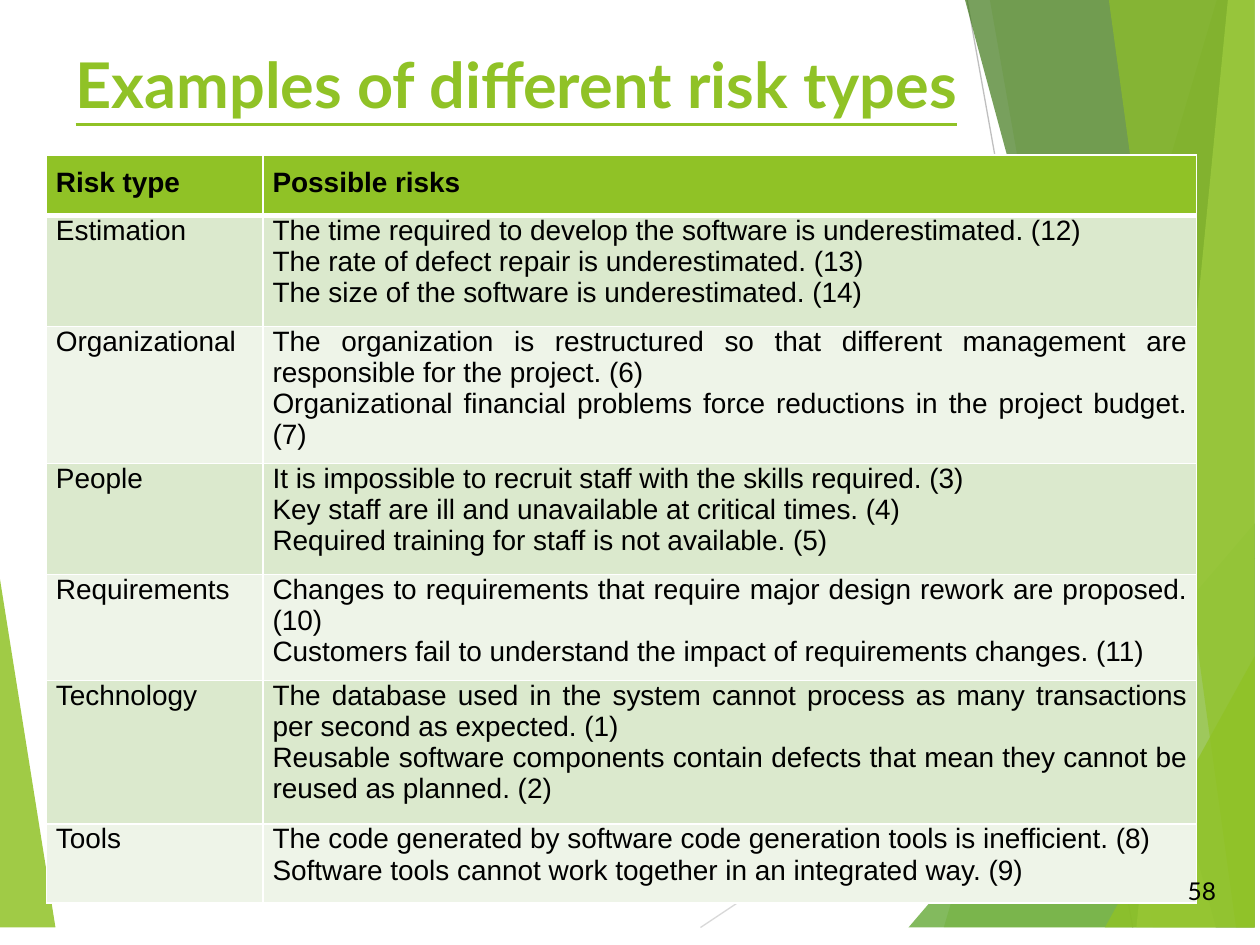
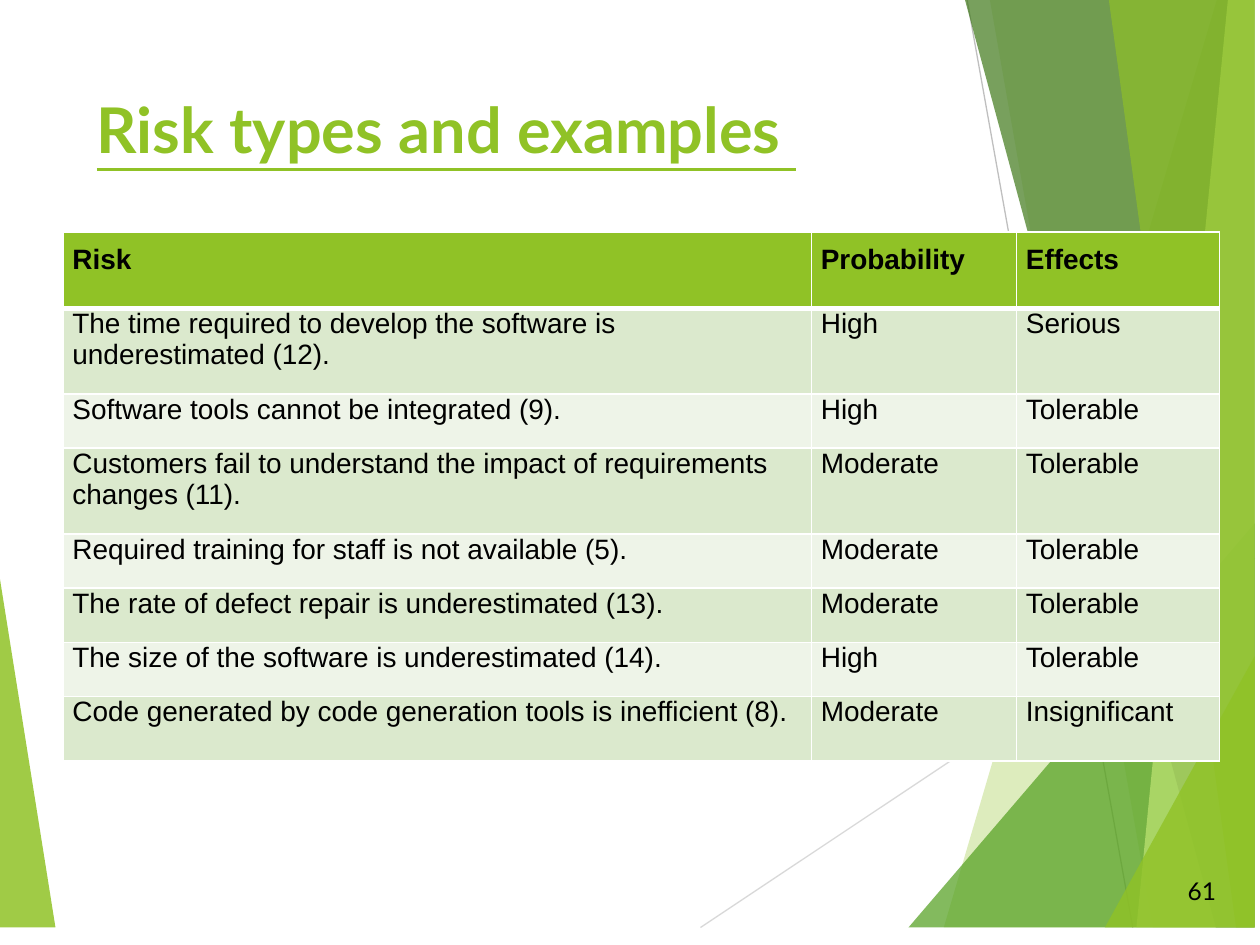
"""Build two slides about software risk types, with their shared backdrop on the layout."""
from dataclasses import dataclass

from lxml.etree import SubElement
from pptx import Presentation
from pptx.dml.color import RGBColor
from pptx.enum.shapes import MSO_CONNECTOR
from pptx.enum.text import MSO_ANCHOR, MSO_AUTO_SIZE, PP_ALIGN
from pptx.oxml.ns import qn
from pptx.util import Pt

GREEN = RGBColor(0x90, 0xC2, 0x26)
MID_GREEN = RGBColor(0x54, 0xA0, 0x21)
DARK_GREEN = RGBColor(0x3F, 0x78, 0x19)
LIME = RGBColor(0xC0, 0xE4, 0x74)
BAND_DARK = RGBColor(0xDB, 0xE9, 0xCD)
BAND_LIGHT = RGBColor(0xEE, 0xF4, 0xE8)
GREY = RGBColor(0xBF, 0xBF, 0xBF)
PALE_GREY = RGBColor(0xD9, 0xD9, 0xD9)
BLACK = RGBColor(0, 0, 0)
WHITE = RGBColor(0xFF, 0xFF, 0xFF)

HEAD_FONT = "Lato"
BODY_FONT = "Arial"
TOP, FLOOR, RIGHT = -10.5, 530, 717


@dataclass
class Facet:
    """A sloping side from (top_x, top_y) to foot_x on the floor, closed along edge_x."""
    color: RGBColor
    opacity: int
    top_x: float
    foot_x: float
    top_y: float = TOP
    edge_x: float = RIGHT


@dataclass
class Ray:
    """A thin line across the backdrop."""
    color: RGBColor
    x1: float
    y1: float
    x2: float
    y2: float


@dataclass
class RiskSlide:
    """A title, a table whose first row is the header, and a page number."""
    title: str
    title_box: tuple[float, float, float, float]
    origin: tuple[float, float]
    cols: list[float]
    heights: list[float]
    rows: list[tuple[str, ...]]
    align: PP_ALIGN
    number: int


RAYS = [
    Ray(PALE_GREY, 400.3, FLOOR, RIGHT, 319),
    Ray(GREY, 550.8, TOP, 647.3, FLOOR),
]

FACETS = [
    Facet(GREEN, 85, -4, 31.7, 306, -4),
    Facet(GREEN, 30, 698.4, 539.3),
    Facet(GREEN, 20, 563.8, 658.8),
    Facet(MID_GREEN, 72, RIGHT, 519.1, 299),
    Facet(DARK_GREEN, 70, 548.6, 694.8),
    Facet(LIME, 70, 702.7, 649.4),
    Facet(GREEN, 65, 632.2, 706.3),
    Facet(GREEN, 80, RIGHT, 631.4, 375),
]

RISK_SLIDES = [
    RiskSlide(
        "Examples of different risk types", (36, 22.3, 605.5, 66.2), (26.6, 88.6),
        [123.8, 533.5], [34.5, 63.4, 63.4, 63.4, 45.4, 82, 45.4],
        [
            ("Risk type", "Possible risks"),
            ("Estimation",
             "The time required to develop the software is underestimated. (12)\n"
             "The rate of defect repair is underestimated. (13)\n"
             "The size of the software is underestimated. (14)"),
            ("Organizational",
             "The organization is restructured so that different management are "
             "responsible for the project. (6)\n"
             "Organizational financial problems force reductions in the project budget. (7)"),
            ("People",
             "It is impossible to recruit staff with the skills required. (3)\n"
             "Key staff are ill and unavailable at critical times. (4)\n"
             "Required training for staff is not available. (5)"),
            ("Requirements",
             "Changes to requirements that require major design rework are proposed. (10)\n"
             "Customers fail to understand the impact of requirements changes. (11)"),
            ("Technology",
             "The database used in the system cannot process as many transactions "
             "per second as expected. (1)\n"
             "Reusable software components contain defects that mean they cannot be "
             "reused as planned. (2)"),
            ("Tools",
             "The code generated by software code generation tools is inefficient. (8)\n"
             "Software tools cannot work together in an integrated way. (9)"),
        ],
        PP_ALIGN.JUSTIFY, 58),
    RiskSlide(
        "Risk types and examples ", (48.2, 48.2, 605.5, 103.7), (36, 132.5),
        [427.7, 117.2, 116], [43.7, 49, 31, 49, 31, 31, 31, 36.7],
        [
            ("Risk", "Probability", "Effects"),
            ("The time required to develop the software is underestimated (12).",
             "High", "Serious"),
            ("Software tools cannot be integrated (9).", "High", "Tolerable"),
            ("Customers fail to understand the impact of requirements changes (11).",
             "Moderate", "Tolerable"),
            ("Required training for staff is not available (5).", "Moderate", "Tolerable"),
            ("The rate of defect repair is underestimated (13).", "Moderate", "Tolerable"),
            ("The size of the software is underestimated (14).", "High", "Tolerable"),
            ("Code generated by code generation tools is inefficient (8).",
             "Moderate", "Insignificant"),
        ],
        PP_ALIGN.LEFT, 61),
]


def add_ray(slide, ray: Ray):
    ln = slide.shapes.add_connector(
        MSO_CONNECTOR.STRAIGHT, Pt(ray.x1), Pt(ray.y1), Pt(ray.x2), Pt(ray.y2))
    ln.line.color.rgb = ray.color
    ln.line.width = Pt(0.75)
    SubElement(ln.element.spPr, qn("a:effectLst"))
    return ln


def add_facet(slide, facet: Facet):
    fb = slide.shapes.build_freeform(Pt(facet.top_x), Pt(facet.top_y))
    fb.add_line_segments([
        (Pt(facet.foot_x), Pt(FLOOR)),
        (Pt(facet.edge_x), Pt(FLOOR)),
        (Pt(facet.edge_x), Pt(facet.top_y)),
    ])
    sp = fb.convert_to_shape()
    sp.shadow.inherit = False
    sp.line.fill.background()
    sp.fill.solid()
    sp.fill.fore_color.rgb = facet.color
    color = sp.element.spPr.find(f"{qn('a:solidFill')}/{qn('a:srgbClr')}")
    SubElement(color, qn("a:alpha"), val=str(facet.opacity * 1000))
    return sp


def move_backdrop_to_layout(slide, layout) -> None:
    parts = [add_ray(slide, ray) for ray in RAYS]
    parts += [add_facet(slide, facet) for facet in FACETS]
    for i, part in enumerate(parts):
        part.element.xpath(".//p:cNvPr")[0].set("id", str(100 + i))
        layout.shapes.element.insert(2 + i, part.element)


def set_title(slide, text: str, box: tuple[float, float, float, float]) -> None:
    title = slide.shapes.title
    title.left, title.top, title.width, title.height = map(Pt, box)
    tf = title.text_frame
    tf.text = text
    tf.auto_size = MSO_AUTO_SIZE.NONE
    tf.vertical_anchor = MSO_ANCHOR.TOP
    p = tf.paragraphs[0]
    p.alignment = PP_ALIGN.LEFT
    p.font.name, p.font.size = HEAD_FONT, Pt(36)
    p.font.bold = p.font.underline = True
    p.font.color.rgb = GREEN


def set_borders(cell, row: int) -> None:
    tc_pr = cell._tc.get_or_add_tcPr()
    widths = {"L": 1, "R": 1, "T": 3 if row == 1 else 1, "B": 3 if row == 0 else 1}
    for i, (side, width) in enumerate(widths.items()):
        ln = SubElement(tc_pr, qn(f"a:ln{side}"), w=str(Pt(width)))
        fill = SubElement(ln, qn("a:solidFill"))
        SubElement(fill, qn("a:srgbClr"), val=str(WHITE))
        tc_pr.insert(i, ln)


def fill_cell(cell, text: str, row: int, align: PP_ALIGN) -> None:
    header = row == 0
    cell.text = text
    cell.margin_left = cell.margin_right = Pt(5.4)
    cell.margin_top = Pt(7.2 if header else 0)
    cell.margin_bottom = Pt(7.2)
    cell.fill.solid()
    cell.fill.fore_color.rgb = GREEN if header else BAND_DARK if row % 2 else BAND_LIGHT
    set_borders(cell, row)
    for p in cell.text_frame.paragraphs:
        p.alignment = align
        p.font.name, p.font.size = BODY_FONT, Pt(16)
        p.font.bold = header
        p.font.color.rgb = BLACK


def add_risk_table(slide, risk: RiskSlide) -> None:
    left, top = risk.origin
    table = slide.shapes.add_table(
        len(risk.rows), len(risk.cols), Pt(left), Pt(top),
        Pt(sum(risk.cols)), Pt(sum(risk.heights))).table
    for col, width in zip(table.columns, risk.cols):
        col.width = Pt(width)
    for r, (height, texts) in enumerate(zip(risk.heights, risk.rows)):
        table.rows[r].height = Pt(height)
        for c, text in enumerate(texts):
            fill_cell(table.cell(r, c), text, r, risk.align)


def add_page_number(slide, number: int) -> None:
    tf = slide.shapes.add_textbox(Pt(661.7), Pt(494.6), Pt(40.3), Pt(28.8)).text_frame
    tf.word_wrap = True
    tf.vertical_anchor = MSO_ANCHOR.MIDDLE
    p = tf.paragraphs[0]
    p.text = str(number)
    p.alignment = PP_ALIGN.RIGHT
    p.font.name, p.font.size = HEAD_FONT, Pt(14)
    p.font.color.rgb = BLACK


def main() -> None:
    prs = Presentation()
    prs.slide_width, prs.slide_height = Pt(720), Pt(540)
    layout = prs.slide_layouts.get_by_name("Title Only")
    for risk in RISK_SLIDES:
        slide = prs.slides.add_slide(layout)
        set_title(slide, risk.title, risk.title_box)
        add_risk_table(slide, risk)
        add_page_number(slide, risk.number)
    move_backdrop_to_layout(prs.slides[0], layout)
    prs.save("out.pptx")


if __name__ == "__main__":
    main()
